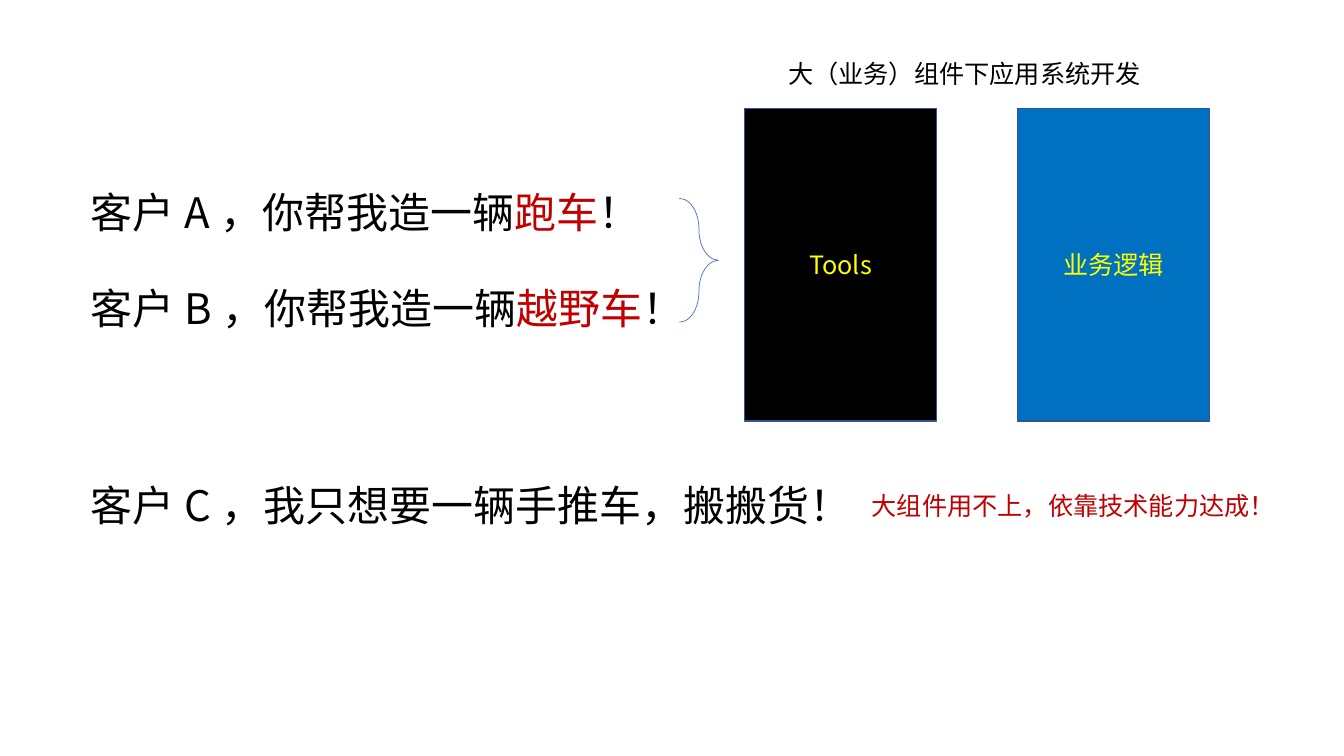
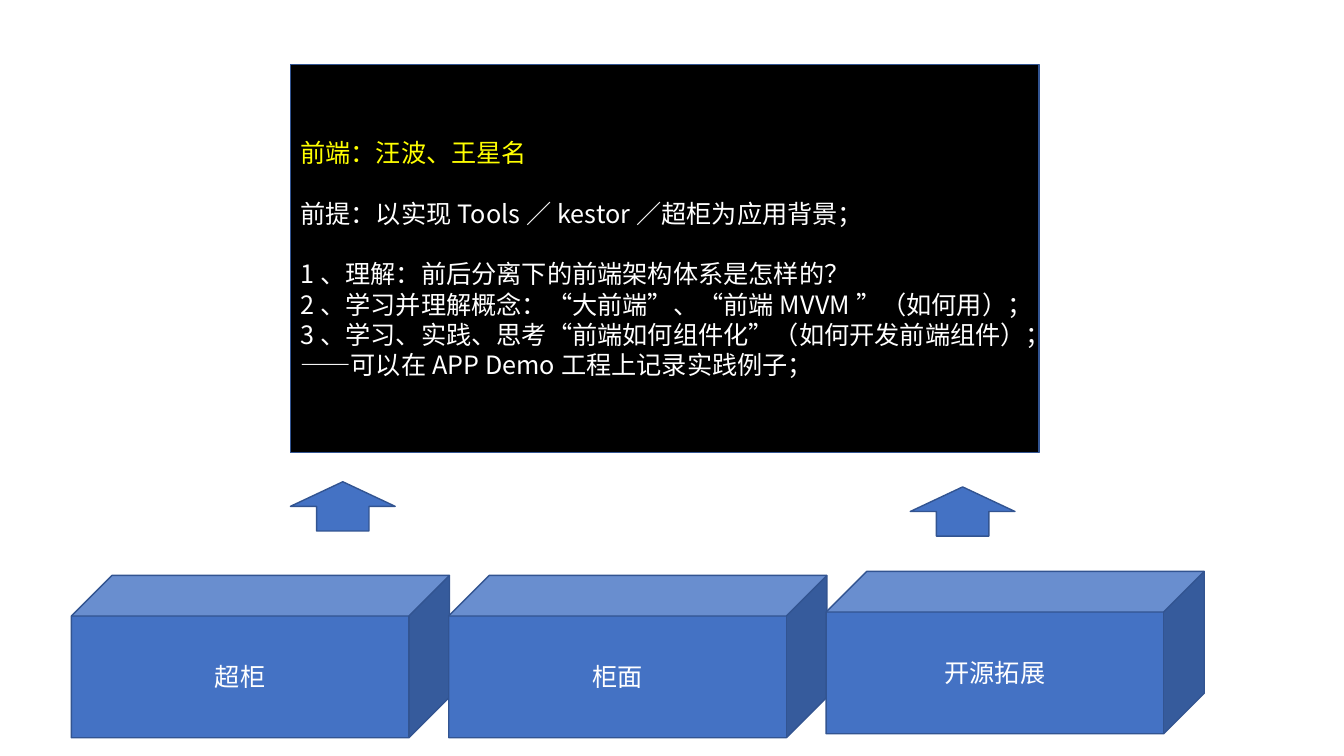
from lxml import etree
from pptx import Presentation
from pptx import util as u
from pptx.dml.color import RGBColor
from pptx.enum import shapes, text
from pptx.oxml.ns import qn

FONT = "Noto Sans CJK SC"
COLORS = {
    "black": "000000",
    "white": "FFFFFF",
    "red": "C00000",
    "yellow": "FFFF00",
    "blue": "4472C4",
    "bright": "0070C0",
    "edge": "325491",
}
SHAPE = shapes.MSO_SHAPE
LEFT, CENTER = text.PP_ALIGN.LEFT, text.PP_ALIGN.CENTER


def rgb(name):
    return RGBColor.from_string(COLORS[name])


def place(box, left, top, width, height):
    box.left, box.top = u.Cm(left), u.Cm(top)
    box.width, box.height = u.Cm(width), u.Cm(height)


def write(para, content, color, size=18, align=CENTER):
    """Fill a paragraph; content is a string or a list of (text, colour or None)."""
    para.alignment = align
    font = para.font
    font.size = u.Pt(size)
    font.color.rgb = rgb(color)
    font.name = FONT
    east_asian = etree.SubElement(para._p.pPr.find(qn("a:defRPr")), qn("a:ea"))
    east_asian.set("typeface", FONT)
    parts = [(content, None)] if isinstance(content, str) else content
    for words, accent in parts:
        span = para.add_run()
        span.text = words
        if accent:
            span.font.color.rgb = rgb(accent)


def add_shape(page, kind, frame, fill="blue", label=None, color="white"):
    shape = page.shapes.add_shape(kind, *map(u.Cm, frame))
    shape.shadow.inherit = False
    shape.fill.solid()
    shape.fill.fore_color.rgb = rgb(fill)
    shape.line.color.rgb = rgb("edge")
    shape.line.width = u.Pt(1)
    shape.text_frame.vertical_anchor = text.MSO_ANCHOR.MIDDLE
    if label:
        write(shape.text_frame.paragraphs[0], label, color)
    return shape


def add_brace(page, frame):
    brace = page.shapes.add_shape(SHAPE.RIGHT_BRACE, *map(u.Cm, frame))
    brace.shadow.inherit = False
    brace.fill.background()
    brace.line.color.rgb = rgb("blue")
    brace.line.width = u.Pt(0.5)
    brace.adjustments[0] = 0.78


def add_caption(page, frame, content, color, align):
    """Add a one-line text box that does not wrap."""
    box = page.shapes.add_textbox(*map(u.Cm, frame))
    box.text_frame.word_wrap = False
    box.text_frame.vertical_anchor = text.MSO_ANCHOR.MIDDLE
    write(box.text_frame.paragraphs[0], content, color, align=align)


def format_request(box, top, content):
    """Lay out one customer request in the title style."""
    place(box, 2.03, top, 29.21, 3.68)
    frame = box.text_frame
    frame.word_wrap = True
    frame.auto_size = text.MSO_AUTO_SIZE.NONE
    frame.vertical_anchor = text.MSO_ANCHOR.MIDDLE
    para = frame.paragraphs[0]
    para.line_spacing = 0.9
    write(para, content, "black", 30, LEFT)


def add_panel(page, frame, lines):
    """Add the black panel; lines hold (text, colour, space before in points)."""
    panel = add_shape(page, SHAPE.RECTANGLE, frame, "black")
    body = panel.text_frame
    for index, (words, color, space) in enumerate(lines):
        para = body.add_paragraph() if index else body.paragraphs[0]
        para.line_spacing = u.Pt(21.6)
        para.space_before = u.Pt(space)
        write(para, words, color, align=LEFT)


def build_requests(deck):
    page = deck.slides.add_slide(deck.slide_layouts[5])
    format_request(page.shapes.title, 3.58,
                   [("客户A，你帮我造一辆", None), ("跑车", "red"), ("！", None)])
    others = [
        (5.99, [("客户B，你帮我造一辆", None), ("越野车", "red"), ("！", None)]),
        (10.95, "客户C，我只想要一辆手推车，搬搬货！"),
    ]
    for top, content in others:
        format_request(page.shapes.add_textbox(0, 0, 0, 0), top, content)
    add_caption(page, (21.72, 12.22, 10.77, 1.02),
                "大组件用不上，依靠技术能力达成！", "red", LEFT)
    add_brace(page, (17.12, 5, 0.99, 3.12))
    add_caption(page, (19.48, 1.35, 9.65, 1.02),
                "大（业务）组件下应用系统开发", "black", CENTER)
    for left, fill, label in ((25.65, "bright", "业务逻辑"), (18.77, "black", "Tools")):
        add_shape(page, SHAPE.RECTANGLE, (left, 2.74, 4.83, 7.87), fill, label, "yellow")


def build_frontend(deck):
    page = deck.slides.add_slide(deck.slide_layouts[6])
    cubes = [("超柜", 14.5), ("柜面", 14.5), ("开源拓展", 14.4)]
    for index, (label, top) in enumerate(cubes):
        add_shape(page, SHAPE.CUBE, (1.8 + 9.51 * index, top, 9.53, 4.09), label=label)
    add_panel(page, (7.32, 1.63, 18.87, 9.78), [
        ("前端：汪波、王星名", "yellow", 0),
        ("前提：以实现Tools／kestor／超柜为应用背景；", "white", 21.6),
        ("1、理解：前后分离下的前端架构体系是怎样的？", "white", 21.6),
        ("2、学习并理解概念：“大前端”、“前端MVVM”（如何用）；", "white", 0),
        ("3、学习、实践、思考“前端如何组件化”（如何开发前端组件）；", "white", 0),
        ("——可以在APP Demo工程上记录实践例子；", "white", 0),
    ])
    for left, top in ((7.32, 12.14), (22.94, 12.27)):
        add_shape(page, SHAPE.UP_ARROW, (left, top, 2.64, 1.24))


def main():
    deck = Presentation()
    deck.slide_width, deck.slide_height = u.Cm(33.87), u.Cm(19.05)
    build_requests(deck)
    build_frontend(deck)
    deck.save("out.pptx")


if __name__ == "__main__":
    main()
